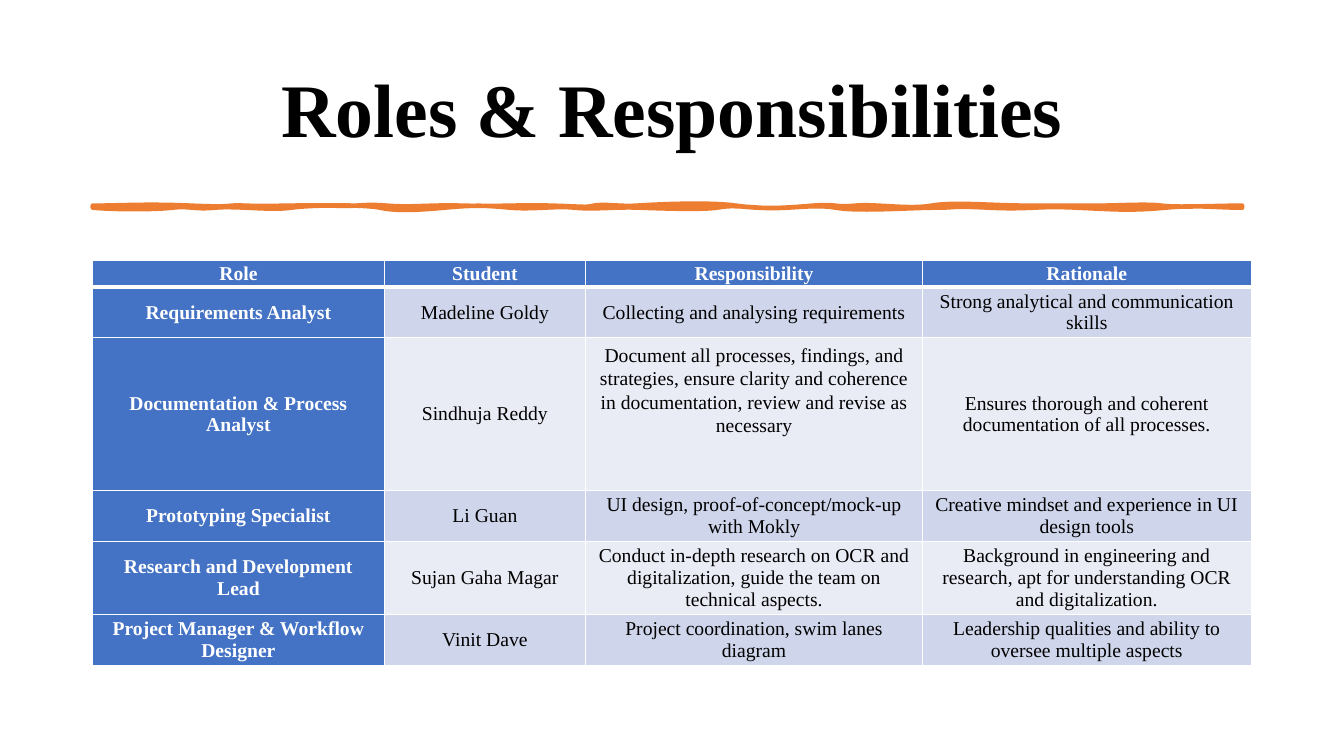
"""Build the Roles & Responsibilities slide with its title, brush line and table."""
from typing import NamedTuple

from lxml import etree
from pptx import Presentation
from pptx.dml.color import RGBColor
from pptx.enum.text import MSO_ANCHOR, MSO_AUTO_SIZE, PP_ALIGN
from pptx.oxml.ns import qn
from pptx.util import Inches, Pt

CENTER = PP_ALIGN.CENTER
MIDDLE = MSO_ANCHOR.MIDDLE
NO_FIT = MSO_AUTO_SIZE.NONE
FONT = "Times New Roman"
BLACK = RGBColor(0x00, 0x00, 0x00)
WHITE = RGBColor(0xFF, 0xFF, 0xFF)
BLUE = RGBColor(0x44, 0x72, 0xC4)
ORANGE = RGBColor(0xED, 0x7D, 0x31)
BANDS = (RGBColor(0xCF, 0xD5, 0xEA), RGBColor(0xE9, 0xEB, 0xF5))
LEFT = 0.92
COL_WIDTHS = (2.89, 2, 3.34, 3.26)
HEADER_HEIGHT = 0.27


class Role(NamedTuple):
    """One table row with its height and text layout."""
    height: float
    cells: tuple[str, str, str, str]
    duty_spacing: float = 1.0
    duty_bottom: float = 0


class Curve(NamedTuple):
    """A cubic curve from the current point, in inches."""
    x1: float
    y1: float
    x2: float
    y2: float
    x: float
    y: float


HEADERS = ("Role", "Student", "Responsibility", "Rationale")
ROLES = (
    Role(0.5, ("Requirements Analyst", "Madeline Goldy",
               "Collecting and analysing requirements",
               "Strong analytical and communication skills")),
    Role(1.52, ("Documentation & Process Analyst", "Sindhuja Reddy",
                "Document all processes, findings, and strategies, ensure clarity and "
                "coherence in documentation, review and revise as necessary",
                "Ensures thorough and coherent documentation of all processes."),
         1.07, 0.48),
    Role(0.5, ("Prototyping Specialist", "Li Guan",
               "UI design, proof-of-concept/mock-up with Mokly",
               "Creative mindset and experience in UI design tools")),
    Role(0.73, ("Research and Development Lead", "Sujan Gaha Magar",
                "Conduct in-depth research on OCR and digitalization, guide the team on "
                "technical aspects.",
                "Background in engineering and research, apt for understanding OCR and "
                "digitalization.")),
    Role(0.5, ("Project Manager & Workflow Designer", "Vinit Dave",
               "Project coordination, swim lanes diagram",
               "Leadership qualities and ability to oversee multiple aspects")),
)
BRUSH_START = (0.92, 2.04)
BRUSH = (
    Curve(1.19, 2.04, 1.44, 2.02, 1.9, 2.04),
    Curve(2.37, 2.06, 2.2, 2.03, 2.44, 2.04),
    Curve(2.67, 2.05, 3.03, 2.03, 3.31, 2.04),
    Curve(3.6, 2.05, 3.59, 2.02, 3.84, 2.04),
    Curve(4.1, 2.06, 4.23, 2.03, 4.6, 2.04),
    Curve(4.98, 2.05, 5.14, 2.03, 5.48, 2.04),
    Curve(5.81, 2.05, 5.81, 2.06, 5.89, 2.04),
    Curve(5.98, 2.02, 6.15, 2.05, 6.31, 2.04),
    Curve(6.47, 2.03, 7.01, 2, 7.3, 2.04),
    Curve(7.59, 2.08, 7.81, 2.06, 8.06, 2.04),
    Curve(8.31, 2.02, 8.27, 2.06, 8.48, 2.04),
    Curve(8.68, 2.02, 9.01, 2.08, 9.24, 2.04),
    Curve(9.47, 2, 9.82, 2.04, 10.23, 2.04),
    Curve(10.63, 2.04, 10.63, 2.04, 10.87, 2.04),
    Curve(11.12, 2.04, 11.36, 2.02, 11.52, 2.04),
    Curve(11.68, 2.06, 12.03, 2.04, 12.32, 2.04),
    Curve(12.32, 2.05, 12.32, 2.05, 12.32, 2.06),
    Curve(12.05, 2.06, 11.89, 2.03, 11.56, 2.06),
    Curve(11.22, 2.09, 11.1, 2.08, 10.68, 2.06),
    Curve(10.27, 2.04, 10.23, 2.08, 9.81, 2.06),
    Curve(9.39, 2.04, 9.52, 2.06, 9.28, 2.06),
    Curve(9.04, 2.06, 8.51, 2.1, 8.29, 2.06),
    Curve(8.06, 2.02, 7.82, 2.08, 7.53, 2.06),
    Curve(7.24, 2.04, 7.25, 2.04, 7.11, 2.06),
    Curve(6.98, 2.08, 6.61, 2.07, 6.35, 2.06),
    Curve(6.09, 2.05, 5.9, 2.08, 5.7, 2.06),
    Curve(5.51, 2.04, 5.28, 2.08, 5.06, 2.06),
    Curve(4.83, 2.04, 4.73, 2.03, 4.41, 2.06),
    Curve(4.09, 2.09, 3.9, 2.09, 3.77, 2.06),
    Curve(3.63, 2.03, 3.1, 2.03, 2.89, 2.06),
    Curve(2.68, 2.09, 2.35, 2.04, 2.13, 2.06),
    Curve(1.92, 2.08, 1.89, 2.04, 1.71, 2.06),
    Curve(1.54, 2.08, 1.14, 2.08, 0.92, 2.06),
)


def add_run(p, text: str, size: float, color: RGBColor, bold: bool) -> None:
    """Add one centred, formatted run to a paragraph."""
    p.alignment = CENTER
    r = p.add_run()
    r.text = text
    r.font.name, r.font.size, r.font.bold = FONT, Pt(size), bold
    r.font.color.rgb = color


def add_title(s) -> None:
    """Place and fill the title placeholder."""
    sp = s.shapes.title
    sp.left, sp.top, sp.width, sp.height = map(Inches, (LEFT, 0.4, 11.49, 1.45))
    tf = sp.text_frame
    tf.word_wrap, tf.auto_size, tf.vertical_anchor = True, NO_FIT, MIDDLE
    p = tf.paragraphs[0]
    p.line_spacing, p.space_after = 0.9, Pt(6)
    add_run(p, "Roles & Responsibilities", 54, BLACK, True)


def bend_segments(sp) -> None:
    """Turn the straight segments of the brush outline into its curves."""
    segments = list(sp.element.spPr.iter(qn("a:lnTo")))
    for segment, c in zip(segments, BRUSH):
        bend = etree.Element(qn("a:cubicBezTo"))
        for x, y in ((c.x1, c.y1), (c.x2, c.y2), (c.x, c.y)):
            etree.SubElement(bend, qn("a:pt"), x=str(Inches(x) - sp.left),
                             y=str(Inches(y) - sp.top))
        segment.getparent().replace(segment, bend)


def add_brush(s) -> None:
    """Draw the uneven orange line below the title."""
    builder = s.shapes.build_freeform(*map(Inches, BRUSH_START))
    builder.add_line_segments([(Inches(c.x), Inches(c.y)) for c in BRUSH], close=True)
    sp = builder.convert_to_shape()
    bend_segments(sp)
    sp.shadow.inherit = False
    sp.fill.solid()
    sp.fill.fore_color.rgb = ORANGE
    sp.line.color.rgb = ORANGE
    sp.line.width = Pt(3.25)
    etree.SubElement(sp.element.spPr.find(qn("a:ln")), qn("a:round"))


def add_borders(cell, top: float, bottom: float) -> None:
    """Give a cell white borders with the given top and bottom widths."""
    tc_pr = cell._tc.get_or_add_tcPr()
    for side, width in (("L", 1), ("R", 1), ("T", top), ("B", bottom)):
        ln = etree.SubElement(tc_pr, qn(f"a:ln{side}"), w=str(Pt(width)))
        fill = etree.SubElement(ln, qn("a:solidFill"))
        etree.SubElement(fill, qn("a:srgbClr"), val=str(WHITE))


def add_roles_table(s) -> None:
    """Draw the table of roles."""
    rows = (Role(HEADER_HEIGHT, HEADERS), *ROLES)
    height = sum(role.height for role in rows)
    table = s.shapes.add_table(len(rows), len(HEADERS), Inches(LEFT), Inches(2.58),
                               Inches(sum(COL_WIDTHS)), Inches(height)).table
    for column, width in zip(table.columns, COL_WIDTHS):
        column.width = Inches(width)
    for i, role in enumerate(rows):
        table.rows[i].height = Inches(role.height)
        for j, text in enumerate(role.cells):
            cell = table.cell(i, j)
            strong = i == 0 or j == 0
            add_borders(cell, 3 if i == 1 else 1, 3 if i == 0 else 1)
            cell.fill.solid()
            cell.fill.fore_color.rgb = BLUE if strong else BANDS[(i - 1) % 2]
            cell.vertical_anchor = MIDDLE
            cell.margin_left = cell.margin_right = Inches(0.1)
            cell.margin_top = 0
            cell.margin_bottom = Inches(role.duty_bottom if j == 2 else 0)
            p = cell.text_frame.paragraphs[0]
            p.line_spacing = role.duty_spacing if j == 2 else 1.0
            add_run(p, text, 14, WHITE if strong else BLACK, strong)


def main() -> None:
    """Build and save the slide."""
    prs = Presentation()
    prs.slide_width, prs.slide_height = Inches(13.33), Inches(7.5)
    s = prs.slides.add_slide(prs.slide_layouts[5])
    add_title(s)
    add_brush(s)
    add_roles_table(s)
    prs.save("out.pptx")


if __name__ == "__main__":
    main()
